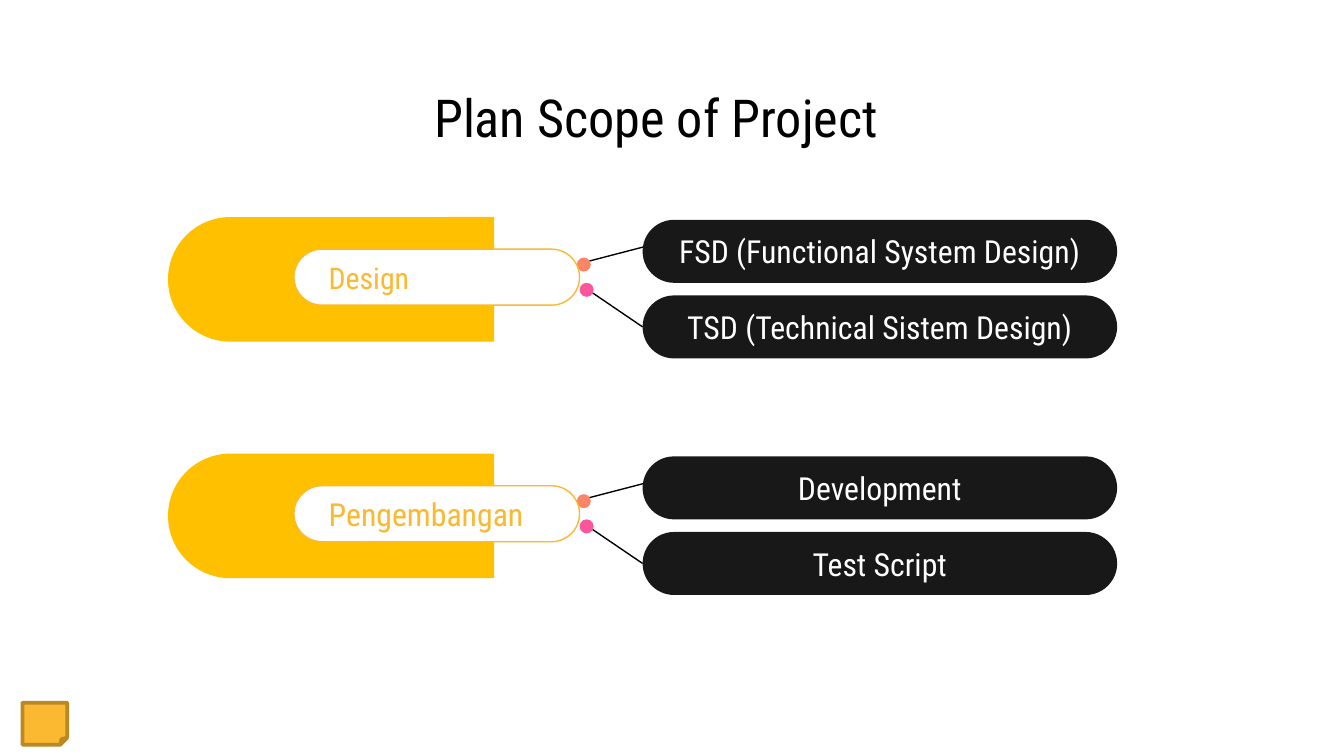
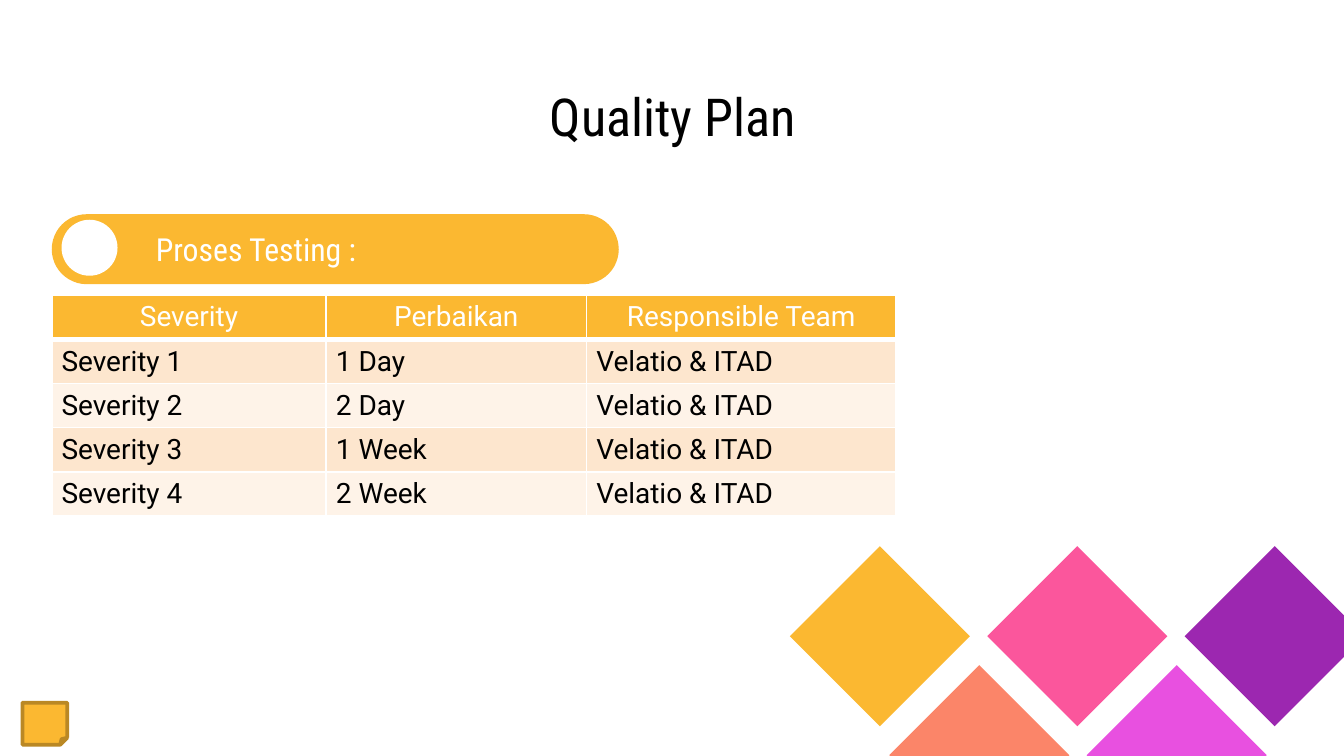
import pptx
import pptx.util
import pptx.dml.color
import pptx.enum.shapes
import pptx.enum.text
import pptx.oxml
import pptx.oxml.ns

PX = 9525
COLORS = {
    "black": "000000", "white": "FFFFFF", "ink": "181818", "gold": "FFC000",
    "amber": "FBB831", "brown": "BA8824", "coral": "FB8569", "pink": "FB569C",
    "purple": "9C27B0", "violet": "E850E0", "peach": "FDE6CE", "cream": "FEF3E8",
}
RGB = {name: pptx.dml.color.RGBColor.from_string(value) for name, value in COLORS.items()}
HEADING_FONT, TABLE_FONT = "Roboto Condensed", "Roboto"
KIND = pptx.enum.shapes.MSO_SHAPE
ALIGN = pptx.enum.text.PP_ALIGN
MIDDLE = pptx.enum.text.MSO_ANCHOR.MIDDLE


def draw(page, kind, left, top, width, height, fill, line=None, weight=0.75):
    shape = page.shapes.add_shape(kind, left * PX, top * PX, width * PX, height * PX)
    shape.shadow.inherit = False
    shape.fill.solid()
    shape.fill.fore_color.rgb = RGB[fill]
    if line:
        shape.line.color.rgb = RGB[line]
        shape.line.width = pptx.util.Pt(weight)
    else:
        shape.line.fill.background()
    if kind == KIND.ROUNDED_RECTANGLE:
        shape.adjustments[0] = 0.5
    return shape


def write(frame, text, size, color, align=ALIGN.CENTER, inset=10, font=HEADING_FONT):
    frame.word_wrap = True
    frame.auto_size = pptx.enum.text.MSO_AUTO_SIZE.NONE
    frame.vertical_anchor = MIDDLE
    frame.margin_left = inset * PX
    frame.margin_right = frame.margin_top = frame.margin_bottom = 10 * PX
    paragraph = frame.paragraphs[0]
    paragraph.alignment = align
    span = paragraph.add_run()
    span.text = text
    span.font.name = font
    span.font.size = pptx.util.Pt(size)
    span.font.color.rgb = RGB[color]


deck = pptx.Presentation()
deck.slide_width, deck.slide_height = 960 * PX, 540 * PX

pages = []
for text, left, top in [("Plan Scope of Project", 63, 58), ("Quality Plan", 75, 57)]:
    page = deck.slides.add_slide(deck.slide_layouts[5])
    title = page.shapes.title
    title.left, title.top, title.width, title.height = left * PX, top * PX, 811 * PX, 51 * PX
    write(title.text_frame, text, 28, "black")
    pages.append(page)
scope_page, quality_page = pages

phases = [
    ("Design", 16, ["FSD (Functional System Design)", "TSD (Technical Sistem Design)"]),
    ("Pengembangan", 17, ["Development", "Test Script"]),
]
branches = [
    (157, (469, 174, 419, 187), (412, 184), "coral"),
    (211, (459, 234, 420, 207), (414, 202), "pink"),
]
for row, (phase, size, items) in enumerate(phases):
    shift = row * 169
    for item, (pill_top, ends, dot, dot_color) in zip(items, branches):
        from_x, from_y, to_x, to_y = ends
        link = scope_page.shapes.add_connector(
            pptx.enum.shapes.MSO_CONNECTOR.STRAIGHT,
            from_x * PX, (from_y + shift) * PX, to_x * PX, (to_y + shift) * PX)
        link.line.color.rgb = RGB["black"]
        link.line.width = pptx.util.Pt(0.75)
        properties = link._element.spPr
        properties.append(pptx.oxml.parse_xml(
            "<a:effectLst %s/>" % pptx.oxml.ns.nsdecls("a")))
        pill = draw(scope_page, KIND.ROUNDED_RECTANGLE, 459, pill_top + shift, 339, 45, "ink")
        write(pill.text_frame, item, 17, "white")
        if from_x == 459:
            link.begin_connect(pill, 1)
        draw(scope_page, KIND.OVAL, dot[0], dot[1] + shift, 10, 10, dot_color)
    half = draw(scope_page, KIND.ROUND_2_SAME_RECTANGLE, 192, 83 + shift, 89, 233, "gold")
    half.adjustments[0] = 0.5
    half.rotation = 270
    label = draw(scope_page, KIND.ROUNDED_RECTANGLE, 210, 178 + shift, 204, 40, "white", "amber")
    write(label.text_frame, phase, size, "amber", ALIGN.LEFT, 19)

records = [
    ["Severity", "Perbaikan", "Responsible Team"],
    ["Severity 1", "1 Day", "Velatio & ITAD"],
    ["Severity 2", "2 Day", "Velatio & ITAD"],
    ["Severity 3", "1 Week", "Velatio & ITAD"],
    ["Severity 4", "2 Week", "Velatio & ITAD"],
]
column_widths = [196, 186, 221]
table = quality_page.shapes.add_table(
    len(records), len(column_widths), 37 * PX, 211 * PX,
    sum(column_widths) * PX, 31 * len(records) * PX).table
table.horz_banding = False
for column, width in zip(table.columns, column_widths):
    column.width = width * PX
for row, record in enumerate(records):
    header = row == 0
    for column, text in enumerate(record):
        cell = table.cell(row, column)
        cell.margin_left = cell.margin_right = 7 * PX
        cell.margin_top = cell.margin_bottom = 4 * PX
        paragraph = cell.text_frame.paragraphs[0]
        paragraph.alignment = ALIGN.CENTER if header else ALIGN.LEFT
        span = paragraph.add_run()
        span.text = text
        span.font.name = TABLE_FONT
        span.font.size = pptx.util.Pt(15)
        span.font.bold = False
        span.font.color.rgb = RGB["white" if header else "black"]
        properties = cell._tc.get_or_add_tcPr()
        for side in "LRTB":
            weight = 3 if header and side == "B" else 1
            properties.append(pptx.oxml.parse_xml(
                '<a:ln%s %s w="%d"><a:solidFill><a:srgbClr val="%s"/></a:solidFill></a:ln%s>'
                % (side, pptx.oxml.ns.nsdecls("a"), pptx.util.Pt(weight), COLORS["white"], side)))
        cell.fill.solid()
        cell.fill.fore_color.rgb = RGB["amber" if header else ("cream", "peach")[row % 2]]

banner = draw(quality_page, KIND.ROUNDED_RECTANGLE, 37, 153, 405, 50, "amber")
write(banner.text_frame, "Proses Testing :", 17, "white", ALIGN.LEFT, 67)
draw(quality_page, KIND.OVAL, 44, 157, 40, 40, "white")

diamond_rows = [(583, 409, ["amber", "pink", "purple"]), (654, 494, ["coral", "violet"])]
for left, top, colors in diamond_rows:
    for place, color in enumerate(colors):
        diamond = draw(quality_page, KIND.RECTANGLE, left + 141 * place, top, 91, 91, color)
        diamond.rotation = 45

for page in pages:
    draw(page, KIND.FOLDED_CORNER, 16, 502, 32, 30, "amber", "brown", 2)

deck.save("out.pptx")
